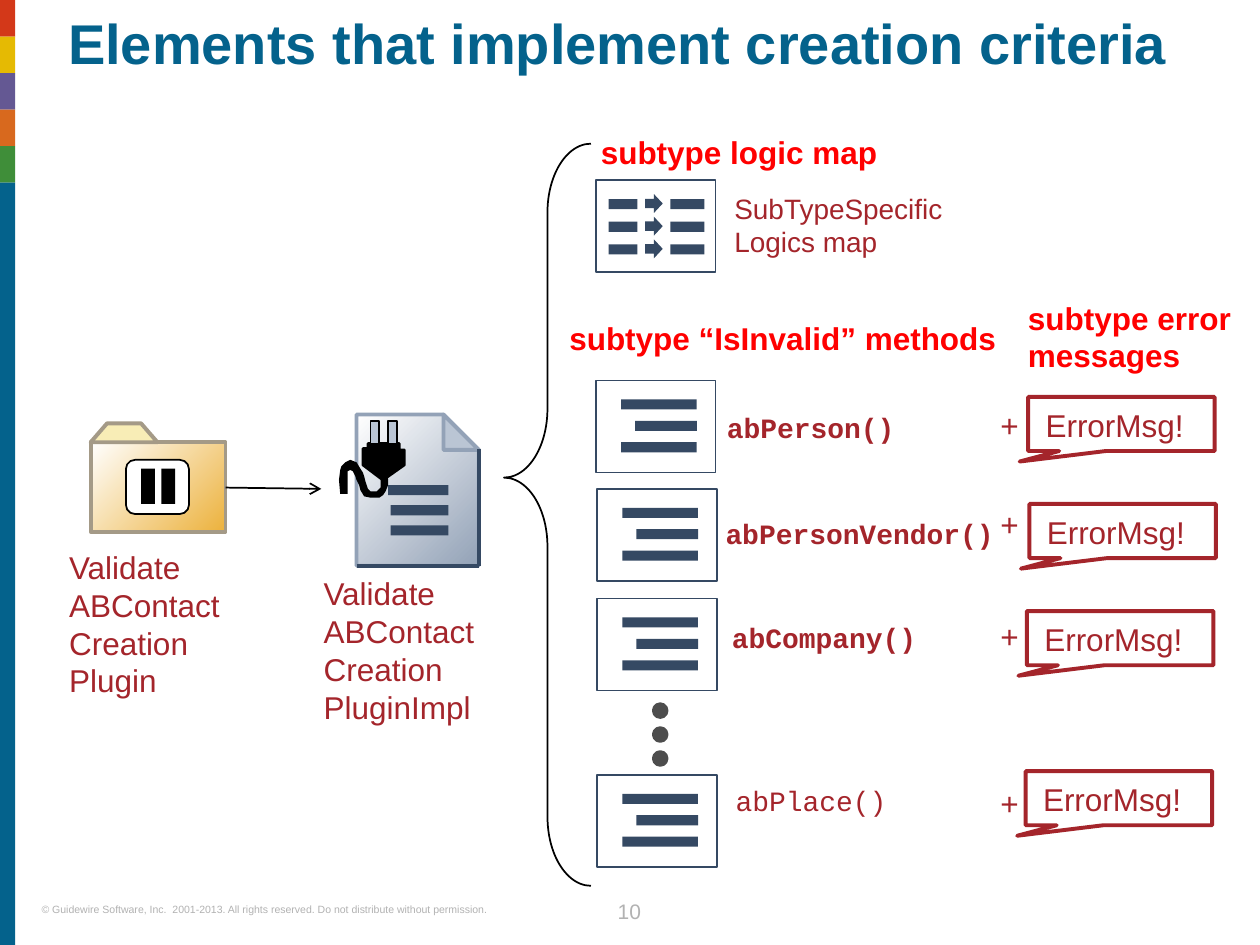
from lxml.etree import SubElement
from pptx import Presentation
from pptx.dml.color import RGBColor
from pptx.enum.shapes import MSO_CONNECTOR, MSO_SHAPE
from pptx.enum.text import MSO_ANCHOR, PP_ALIGN
from pptx.oxml.ns import qn
from pptx.util import Inches, Pt

NAVY, CRIMSON, RED = "354963", "A4252B", "FF0000"
BLACK, WHITE, BLUE, PALE = "000000", "FFFFFF", "04628C", "BAC5D4"
GREY, TAN, STEEL, DOT = "B2B2B2", "A49A87", "93A2B7", "4D4D4D"

deck = Presentation()
deck.slide_width, deck.slide_height = Inches(10), Inches(7.5)
page = deck.slides.add_slide(deck.slide_layouts[5])
shapes = page.shapes


def draw(item, fill=None, line=None, weight=1.0):
    """Style a shape, connector or (preset, left, top, width, height) tuple.

    A pair of fill colours makes a diagonal gradient.
    """
    if isinstance(item, tuple):
        item = shapes.add_shape(item[0], *map(Inches, item[1:]))
    if isinstance(fill, tuple):
        item.fill.gradient()
        item.fill.gradient_angle = 315
        for stop, colour in zip(item.fill.gradient_stops, fill):
            stop.color.rgb = RGBColor.from_string(colour)
    elif fill:
        item.fill.solid()
        item.fill.fore_color.rgb = RGBColor.from_string(fill)
    elif hasattr(item, "fill"):
        item.fill.background()
    if line:
        item.line.color.rgb = RGBColor.from_string(line)
        item.line.width = Pt(weight)
    else:
        item.line.fill.background()
    SubElement(item._element.spPr, qn("a:effectLst"))
    return item


def write(box, text, size=18, colour=CRIMSON, bold=False, font="Arial", margins=True):
    """Fill a text shape, or a new text box at (left, top, width, height)."""
    if isinstance(box, tuple):
        box = shapes.add_textbox(*map(Inches, box))
    frame = box.text_frame
    frame.text = text
    frame.word_wrap = True
    frame.vertical_anchor = MSO_ANCHOR.TOP
    if not margins:
        frame.margin_left = frame.margin_right = 0
        frame.margin_top = frame.margin_bottom = 0
    para = frame.paragraphs[0]
    for span in para.runs:
        span.font.name, span.font.size, span.font.bold = font, Pt(size), bold
        span.font.color.rgb = RGBColor.from_string(colour)
    return para


# Side stripe, footer and title
stripe, band = 0.12, 0.29
for row, colour in enumerate(["D33819", "E5BA03", "645893", "D8691E", "3F8E39"]):
    draw((MSO_SHAPE.RECTANGLE, 0, row * band, stripe, band), colour)
draw((MSO_SHAPE.RECTANGLE, 0, 5 * band, stripe, 7.5 - 5 * band), BLUE)

write((0.33, 7.17, 4.02, 0.1),
      "© Guidewire Software, Inc.  2001-2013. All rights reserved. "
      "Do not distribute without permission.", 6, GREY, margins=False)
number = write((4.71, 7.08, 0.57, 0.25), "10", 12, GREY, margins=False)
number.alignment = PP_ALIGN.CENTER
number.line_spacing = Pt(18)

title = shapes.title
title.left, title.top, title.width, title.height = map(Inches, (0.54, 0.13, 9.1, 0.81))
heading = write(title, "Elements that implement creation criteria", 32, BLUE, True, margins=False)
heading.alignment = PP_ALIGN.LEFT
heading.line_spacing = 0.9

# Plugin folder; outlines are in hundredths of an inch
folder_tab = [(72, 351), (85, 336), (112, 336), (125, 351)]
sheet = [(283, 449), (283, 329), (352, 329), (380, 357), (380, 449)]
fold = [(352, 329), (352, 357), (380, 357)]
cord = [
    (302, 379), (302, 387), (299, 390), (294, 390), (292, 388), (290, 382), (289, 378),
    (288, 375), (286, 372), (283, 367), (278, 365), (274, 367), (271, 370), (270, 373),
    (269, 381), (270, 392), (276, 392), (276, 383), (276, 378), (276, 374), (278, 373),
    (280, 374), (282, 378), (283, 381), (285, 385), (286, 389), (289, 394), (294, 395),
    (301, 395), (304, 393), (306, 390), (308, 385), (308, 380), (307, 378)]
plug = [(292, 352), (317, 352), (317, 357), (321, 357), (321, 369), (304, 381),
        (288, 369), (288, 356), (292, 356)]

draw((MSO_SHAPE.RECTANGLE, 0.72, 3.51, 1.07, 0.71), (WHITE, "ECB23D"), TAN, 2.25)
outlines = [(folder_tab, "F8EDB6", TAN, 2.25), (sheet, (WHITE, STEEL), STEEL, 2.25),
            (fold, PALE, STEEL, 2.25), (cord, BLACK, None, 0), (plug, BLACK, BLACK, 1.5)]
for points, fill, line, weight in outlines:
    builder = shapes.build_freeform(*points[0], scale=Inches(0.01))
    builder.add_line_segments(points[1:], close=True)
    draw(builder.convert_to_shape(), fill, line, weight)

draw((MSO_SHAPE.ROUNDED_RECTANGLE, 1, 3.65, 0.5, 0.43), WHITE, BLACK)
for left in (1.12, 1.28):
    draw((MSO_SHAPE.RECTANGLE, left, 3.72, 0.11, 0.28), BLACK)

# Text lines, plug prongs and shaded edges of the implementation sheet
for left, top in ((3.1, 4.01), (3.08, 3.85), (3.1, 4.17)):
    draw((MSO_SHAPE.RECTANGLE, left, top, 3.56 - left, 0.08), NAVY)
for left in (2.94, 3.08):
    draw((MSO_SHAPE.RECTANGLE, left, 3.34, 0.07, 0.18), PALE, BLACK)
for ends in ((2.83, 4.49, 3.8, 4.49), (3.8, 4.49, 3.8, 3.56)):
    draw(shapes.add_connector(MSO_CONNECTOR.STRAIGHT, *map(Inches, ends)), None, NAVY, 2.25)

write((0.45, 4.3, 1.64, 1.31), "Validate\vABContact\vCreation\vPlugin")
write((2.47, 4.51, 1.64, 1.31), "Validate\vABContact\vCreation\vPluginImpl")

arrow = shapes.add_connector(MSO_CONNECTOR.STRAIGHT, *map(Inches, (1.79, 3.87, 2.55, 3.88)))
draw(arrow, None, BLACK)
SubElement(arrow.line._get_or_add_ln(), qn("a:tailEnd"), type="arrow")

brace = draw((MSO_SHAPE.LEFT_BRACE, 4, 1.14, 0.69, 5.89), None, BLACK)
brace.adjustments[0], brace.adjustments[1] = 0.792, 0.45

# Headings
write((4.67, 1.01, 3.36, 0.4), "subtype logic map", 18, RED, True)
write((4.42, 2.48, 3.72, 0.4), "subtype “IsInvalid” methods", 18, RED, True)
write((8.06, 2.32, 1.87, 0.71), "subtype error\vmessages", 18, RED, True)

# Logic map card
card_width, card_height = 0.95, 0.73
draw((MSO_SHAPE.RECTANGLE, 4.73, 1.43, card_width, card_height), None, NAVY)
for row in range(3):
    top = 1.58 + row * 0.18
    draw((MSO_SHAPE.RECTANGLE, 4.83, top, 0.23, 0.08), NAVY)
    draw((MSO_SHAPE.RIGHT_ARROW, 5.12, top - 0.04, 0.14, 0.15), NAVY)
    draw((MSO_SHAPE.RECTANGLE, 5.32, top, 0.27, 0.08), NAVY)
write((5.73, 1.47, 2.38, 0.64), "SubTypeSpecific\vLogics map", 16)

# Method cards, each with its error message
# name, bold, card left and top, name left and top, plus top, callout left and top
methods = [
    ("abPerson()", True, 4.73, 3.02, 5.67, 3.21, 3.17, 8.16, 3.15),
    ("abPersonVendor()", True, 4.74, 3.88, 5.66, 4.05, 3.96, 8.17, 4.0),
    ("abCompany()", True, 4.74, 4.75, 5.71, 4.88, 4.85, 8.15, 4.85),
    ("abPlace()", False, 4.74, 6.15, 5.74, 6.17, 6.17, 8.14, 6.12),
]
for name, bold, left, top, name_left, name_top, plus_top, call_left, call_top in methods:
    draw((MSO_SHAPE.RECTANGLE, left, top, card_width, card_height), None, NAVY)
    for row, indent in enumerate((0.2, 0.31, 0.2)):
        draw((MSO_SHAPE.RECTANGLE, left + indent, top + 0.15 + row * 0.17, 0.8 - indent, 0.08),
             NAVY)
    write((name_left, name_top, 2.38, 0.37), name, 16, CRIMSON, bold, "Courier New")
    write((7.84, plus_top, 0.41, 0.4), "+")
    callout = draw((MSO_SHAPE.RECTANGULAR_CALLOUT, call_left, call_top, 1.48, 0.43),
                   None, CRIMSON, 2.25)
    callout.adjustments[0], callout.adjustments[1] = -0.546, 0.695
    write((call_left + 0.04, call_top + 0.02, 1.64, 0.4), "ErrorMsg!")

for row in range(3):
    draw((MSO_SHAPE.OVAL, 5.19, 5.59 + row * 0.19, 0.1, 0.1), DOT, DOT, 2.25)

deck.save("out.pptx")
